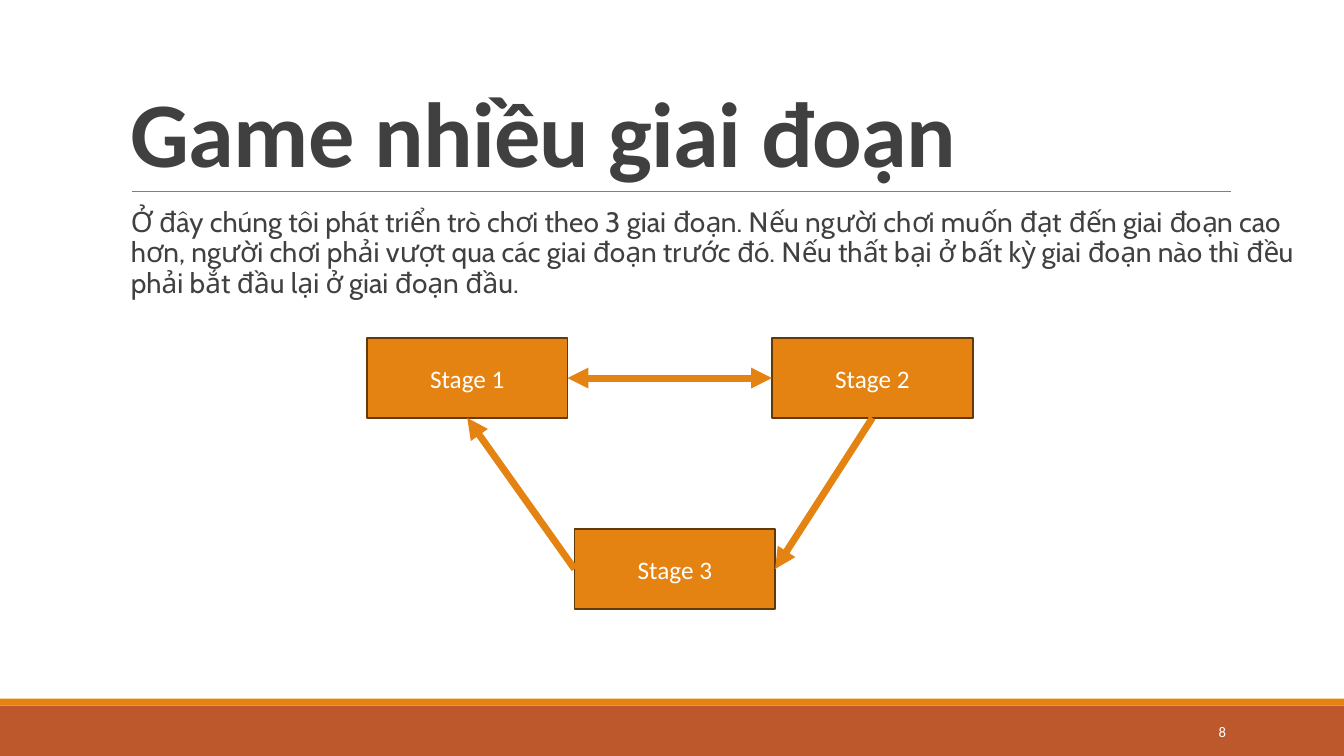
from lxml import etree
from pptx import Presentation
from pptx.dml.color import RGBColor
from pptx.enum.shapes import MSO_CONNECTOR, MSO_SHAPE
from pptx.enum.text import MSO_ANCHOR, PP_ALIGN
from pptx.oxml.ns import qn
from pptx.util import Pt

RECTANGLE = MSO_SHAPE.RECTANGLE
STRAIGHT = MSO_CONNECTOR.STRAIGHT
TOP, MIDDLE, BOTTOM = MSO_ANCHOR.TOP, MSO_ANCHOR.MIDDLE, MSO_ANCHOR.BOTTOM
LEFT, CENTER, RIGHT = PP_ALIGN.LEFT, PP_ALIGN.CENTER, PP_ALIGN.RIGHT

ORANGE = RGBColor(0xE4, 0x83, 0x12)
RUST = RGBColor(0xBD, 0x58, 0x2C)
BROWN = RGBColor(0x64, 0x39, 0x08)
GRAY = RGBColor(0x80, 0x80, 0x80)
DARK = RGBColor(0x40, 0x40, 0x40)
WHITE = RGBColor(0xFF, 0xFF, 0xFF)

SLIDE_WIDTH, SLIDE_HEIGHT = 960, 540
STAGE_WIDTH, STAGE_HEIGHT = 143.3, 56.9
SIDE_BOTTOM, SIDE_LEFT, SIDE_RIGHT = 2, 1, 3

TITLE = "Game nhiều giai đoạn"
BODY = (
    "Ở đây chúng tôi phát triển trò chơi theo 3 giai đoạn. "
    "Nếu người chơi muốn đạt đến giai đoạn cao hơn, "
    "người chơi phải vượt qua các giai đoạn trước đó. "
    "Nếu thất bại ở bất kỳ giai đoạn nào thì đều phải bắt đầu lại ở giai đoạn đầu."
)
STAGES = {
    "Stage 1": (262.1, 241.6),
    "Stage 2": (551.5, 241.6),
    "Stage 3": (410.4, 378),
}
ARROWS = [
    ("Stage 1", SIDE_RIGHT, "Stage 2", SIDE_LEFT, ("headEnd", "tailEnd")),
    ("Stage 2", SIDE_BOTTOM, "Stage 3", SIDE_RIGHT, ("tailEnd",)),
    ("Stage 3", SIDE_LEFT, "Stage 1", SIDE_BOTTOM, ("tailEnd",)),
]


def set_values(target, values):
    for name, value in values.items():
        setattr(target, name, value)


def write_text(box, text, font, frame_format, para_format):
    frame = box.text_frame
    set_values(frame, {"word_wrap": True, **frame_format})
    para = frame.paragraphs[0]
    set_values(para, para_format)
    span = para.add_run()
    span.text = text
    name, size, color, bold = font
    set_values(span.font, {"name": name, "size": Pt(size), "bold": bold})
    span.font.color.rgb = color
    return span


def add_text(page, bounds, text, font, frame_format, para_format):
    box = page.shapes.add_textbox(*map(Pt, bounds))
    return write_text(box, text, font, frame_format, para_format)


def add_rectangle(page, bounds, fill, outline=None):
    box = page.shapes.add_shape(RECTANGLE, *map(Pt, bounds))
    box.shadow.inherit = False
    box.fill.solid()
    box.fill.fore_color.rgb = fill
    if outline is None:
        box.line.fill.background()
    else:
        box.line.color.rgb = outline
        box.line.width = Pt(1.25)
    return box


def add_stage(page, label, position):
    box = add_rectangle(page, (*position, STAGE_WIDTH, STAGE_HEIGHT), ORANGE, BROWN)
    write_text(box, label, ("Calibri", 18, WHITE, False),
               {"vertical_anchor": MIDDLE}, {"alignment": CENTER})
    return box


def add_line(page, points, color, width):
    line = page.shapes.add_connector(STRAIGHT, *map(Pt, points))
    line.line.color.rgb = color
    line.line.width = Pt(width)
    etree.SubElement(line._element.spPr, qn("a:effectLst"))
    return line


def add_arrow(page, start, start_side, end, end_side, tips):
    arrow = add_line(page, (0, 0, 0, 0), ORANGE, 5)
    arrow.begin_connect(start, start_side)
    arrow.end_connect(end, end_side)
    outline = arrow.line._get_or_add_ln()
    for tip in tips:
        etree.SubElement(outline, qn(f"a:{tip}"), type="triangle")


def main():
    deck = Presentation()
    set_values(deck, {"slide_width": Pt(SLIDE_WIDTH), "slide_height": Pt(SLIDE_HEIGHT)})
    page = deck.slides.add_slide(deck.slide_layouts[6])

    add_rectangle(page, (0, 504, SLIDE_WIDTH, 36), RUST)
    add_rectangle(page, (0, 499, SLIDE_WIDTH, 5), ORANGE)
    add_line(page, (94.3, 136.8, 879.1, 136.8), GRAY, 0.5)

    title = add_text(page, (86.4, 22.3, 792, 114.5), TITLE,
                     ("Calibri", 66, DARK, True),
                     {"vertical_anchor": BOTTOM},
                     {"alignment": LEFT, "line_spacing": 0.85})
    title._r.get_or_add_rPr().set("spc", "-50")
    add_text(page, (86.4, 145.4, 853.9, 316.8), BODY,
             ("Cabin", 20, DARK, False),
             {"vertical_anchor": TOP, "margin_left": Pt(7.2), "margin_right": 0},
             {"alignment": LEFT, "line_spacing": 0.9, "space_after": Pt(2)})

    stages = {label: add_stage(page, label, position)
              for label, position in STAGES.items()}
    for start, start_side, end, end_side, tips in ARROWS:
        add_arrow(page, stages[start], start_side, stages[end], end_side, tips)

    add_text(page, (779.8, 508.3, 103, 28.8), "8",
             ("Calibri", 10.5, WHITE, False),
             {"vertical_anchor": MIDDLE}, {"alignment": RIGHT})
    deck.save("out.pptx")


if __name__ == "__main__":
    main()
